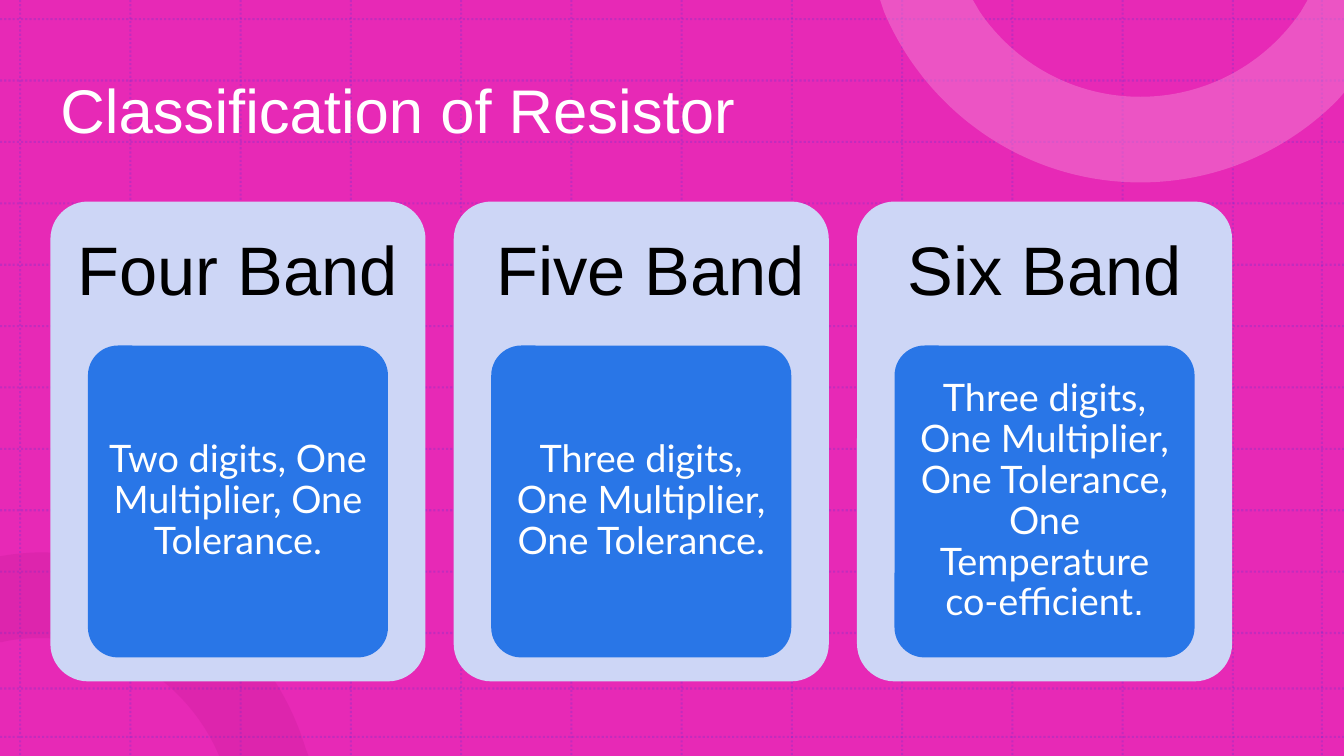
from lxml import etree
from pptx import Presentation
from pptx.dml.color import RGBColor
from pptx.enum.dml import MSO_LINE
from pptx.enum.shapes import MSO_CONNECTOR, MSO_SHAPE
from pptx.enum.text import MSO_ANCHOR, PP_ALIGN
from pptx.oxml.ns import qn
from pptx.util import Inches, Pt

STRAIGHT = MSO_CONNECTOR.STRAIGHT
RECTANGLE = MSO_SHAPE.RECTANGLE
ROUNDED = MSO_SHAPE.ROUNDED_RECTANGLE
DOTTED = MSO_LINE.ROUND_DOT
MIDDLE = MSO_ANCHOR.MIDDLE
LEFT, CENTER = PP_ALIGN.LEFT, PP_ALIGN.CENTER

PINK = RGBColor(0xE7, 0x29, 0xB6)
GRID_BLUE = RGBColor(0x34, 0x33, 0xDA)
DARK_PINK = RGBColor(0xB7, 0x15, 0x8D)
LIGHT_PINK = RGBColor(0xF1, 0x7F, 0xD3)
PALE_BLUE = RGBColor(0xCD, 0xD6, 0xF6)
BLUE = RGBColor(0x29, 0x76, 0xE7)
WHITE = RGBColor(0xFF, 0xFF, 0xFF)
BLACK = RGBColor(0, 0, 0)

WIDTH, HEIGHT = 13.33, 7.5

# Ring outlines: a start point, then lines (one point) and curves (three points)
LOW_RING = [
    [(0.4, 5.48)],
    [(1.64, 5.48), (2.69, 6.3), (3.03, 7.42)],
    [(3.06, 7.5)], [(2.17, 7.5)], [(2.17, 7.49)],
    [(1.88, 6.81), (1.2, 6.33), (0.4, 6.33)],
    [(0.27, 6.33), (0.14, 6.34), (0.02, 6.37)],
    [(-0.01, 6.37)], [(-0.01, 5.52)], [(0.12, 5.5)],
    [(0.21, 5.49), (0.31, 5.48), (0.4, 5.48)],
]
HIGH_RING = [
    [(8.73, 0)],
    [(9.65, 0)], [(9.72, 0.12)],
    [(10.07, 0.63), (10.65, 0.96), (11.31, 0.96)],
    [(11.97, 0.96), (12.55, 0.63), (12.9, 0.12)],
    [(12.97, 0)], [(13.33, 0)], [(13.33, 0.92)], [(13.26, 1)],
    [(12.76, 1.5), (12.07, 1.81), (11.31, 1.81)],
    [(10.17, 1.81), (9.19, 1.11), (8.77, 0.12)],
]

BANDS = [
    ("Four Band", ["Two digits, One Multiplier, One Tolerance."]),
    (" Five Band", ["Three digits, One Multiplier, One Tolerance."]),
    ("Six Band", ["Three digits, One Multiplier, One Tolerance, "
                  "One Temperature co-efficient", "."]),
]


def set_opacity(element, percent):
    color = next(element.iter(qn("a:srgbClr")))
    etree.SubElement(color, qn("a:alpha")).set("val", str(percent * 1000))


def paint(shape, color):
    shape.shadow.inherit = False
    shape.fill.solid()
    shape.fill.fore_color.rgb = color
    shape.line.fill.background()


def format_text(frame, size, font, color, align, margins):
    frame.word_wrap = True
    frame.vertical_anchor = MIDDLE
    frame.margin_left = frame.margin_right = Inches(margins[0])
    frame.margin_top = frame.margin_bottom = Inches(margins[1])
    paragraph = frame.paragraphs[0]
    paragraph.alignment = align
    paragraph.line_spacing = 0.9
    for run in paragraph.runs:
        run.font.size = Pt(size)
        run.font.name = font
        run.font.color.rgb = color


def add_grid(slide, left, top, width, height):
    columns = [0.2 + 1.0935 * i for i in range(12)] + [13.11]
    rows = [0.19 + 0.609 * i for i in range(11)] + [6.83, 7.31]
    ends = [(left + x, top, left + x, top + height) for x in columns]
    ends += [(left, top + y, left + width, top + y) for y in rows]
    for end in ends:
        grid_line = slide.shapes.add_connector(STRAIGHT, *map(Inches, end))
        grid_line.line.color.rgb = GRID_BLUE
        grid_line.line.width = Pt(1.5)
        grid_line.line.dash_style = DOTTED
        properties = grid_line.element.spPr
        set_opacity(properties, 20)
        etree.SubElement(properties, qn("a:effectLst"))


def add_ring(slide, outline, color, opacity):
    # The builder keeps whole units only, so it works in hundredths of an inch
    points = [(round(x * 100), round(y * 100)) for step in outline for x, y in step]
    builder = slide.shapes.build_freeform(*points[0], scale=Inches(0.01))
    builder.add_line_segments(points[1:], close=True)
    ring = builder.convert_to_shape()
    paint(ring, color)
    set_opacity(ring.element.spPr, opacity)
    # Join each group of three lines into one curve
    lines = iter(list(ring.element.iter(qn("a:lnTo"))))
    for step in outline[1:]:
        first, *others = [next(lines) for _ in step]
        if others:
            first.tag = qn("a:cubicBezTo")
            for other in others:
                first.append(other[0])
                other.getparent().remove(other)


def add_backdrop(slide, left, top, width, height):
    backdrop = slide.shapes.add_shape(
        RECTANGLE, *map(Inches, (left, top, width, height)))
    paint(backdrop, PINK)
    add_grid(slide, left, top, width, height)
    add_ring(slide, LOW_RING, DARK_PINK, 20)
    add_ring(slide, HIGH_RING, LIGHT_PINK, 50)


def add_title(slide, left, top, width, height):
    title = slide.shapes.title
    title.left, title.top = Inches(left), Inches(top)
    title.width, title.height = Inches(width), Inches(height)
    title.text_frame.text = "Classification of Resistor"
    format_text(title.text_frame, 44, "Arial", WHITE, LEFT, (0.1, 0.05))
    # Bring the title in front of the backdrop
    slide.shapes.element.append(title.element)


def add_panel(slide, left, top, width, height, color):
    panel = slide.shapes.add_shape(ROUNDED, *map(Inches, (left, top, width, height)))
    panel.adjustments[0] = 0.1
    paint(panel, color)
    return panel


def add_band_card(slide, left, top, width, height, band, details):
    add_panel(slide, left, top, width, height, PALE_BLUE)
    # Heading in the top 30 % of the card
    heading = slide.shapes.add_textbox(
        *map(Inches, (left, top, width, height * 0.3)))
    heading.text_frame.text = band
    format_text(heading.text_frame, 49, "Arial", BLACK, CENTER, (0.2, 0.2))
    # Details panel
    panel = add_panel(slide, left + width * 0.1, top + height * 0.3,
                      width * 0.8, height * 0.65, BLUE)
    paragraph = panel.text_frame.paragraphs[0]
    for detail in details:
        paragraph.add_run().text = detail
    format_text(panel.text_frame, 27, "Lato", WHITE, CENTER, (0.07, 0.06))
    for closing_run in paragraph.runs[1:]:
        closing_run.font.name = "Arial"


def main():
    deck = Presentation()
    deck.slide_width, deck.slide_height = Inches(WIDTH), Inches(HEIGHT)
    slide = deck.slides.add_slide(deck.slide_layouts[5])
    add_backdrop(slide, 0, 0, WIDTH, HEIGHT)
    add_title(slide, 0.5, 0.4, 11.73, 1.45)
    for i, (band, details) in enumerate(BANDS):
        add_band_card(slide, 0.5 + 4 * i, 2, 3.72, 4.76, band, details)
    deck.save("out.pptx")


if __name__ == "__main__":
    main()
